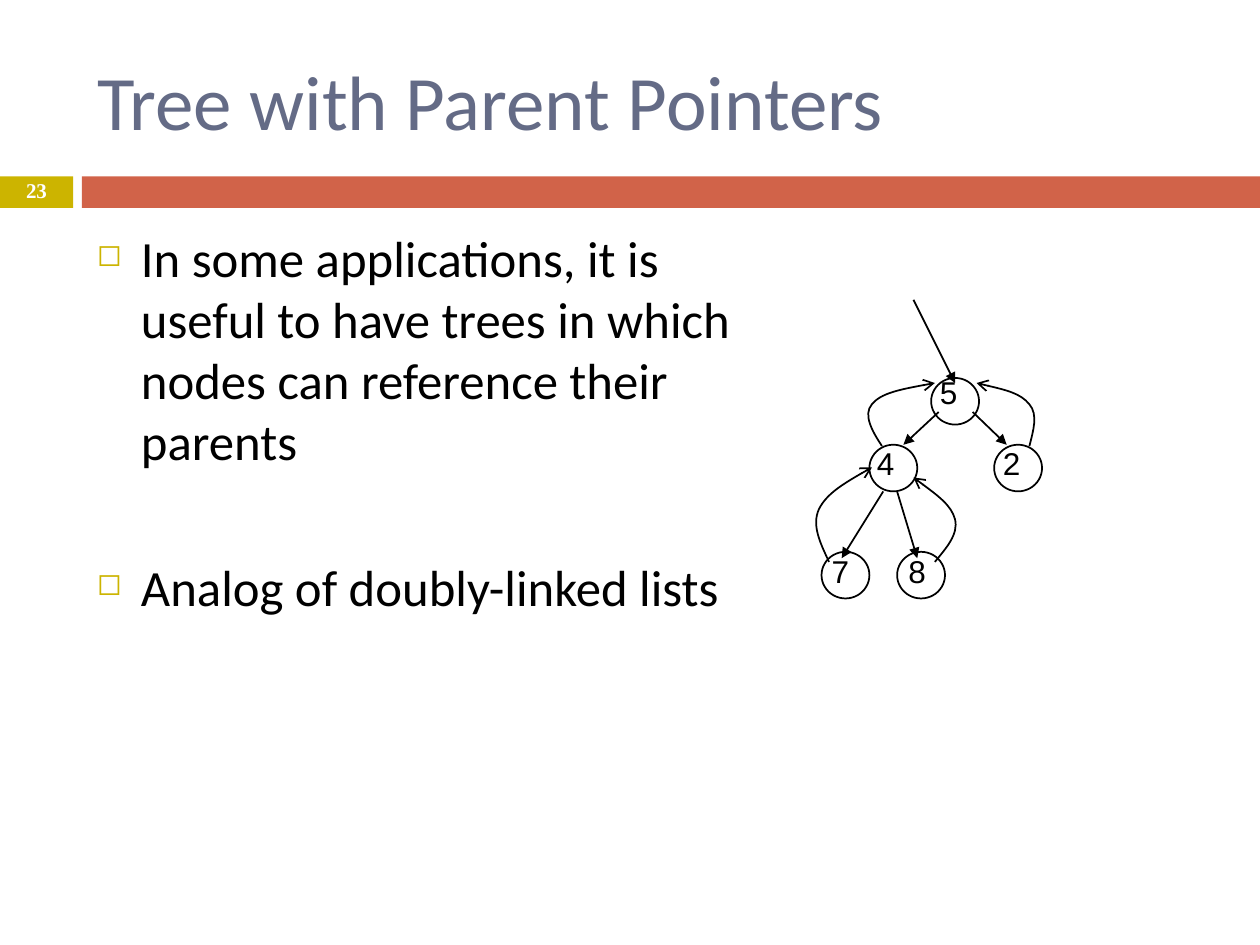
from lxml.etree import SubElement
from pptx import Presentation
from pptx.dml.color import RGBColor
from pptx.enum.shapes import MSO_CONNECTOR, MSO_SHAPE
from pptx.enum.text import MSO_ANCHOR, MSO_AUTO_SIZE, PP_ALIGN
from pptx.oxml.ns import qn
from pptx.util import Inches, Pt

# Content
TITLE = "Tree with Parent Pointers"
PAGE = "23"
BULLETS = [  # text, space before in points
    ("In some applications, it is useful to have trees in which "
     "nodes can reference their parents", 7),
    ("Analog of doubly-linked lists", 49),
]
NODES = [  # label, circle left and top, label left and top
    ("5", (7.39, 3.0), (7.42, 2.96)),
    ("4", (6.9, 3.53), (6.92, 3.52)),
    ("2", (7.89, 3.53), (7.92, 3.52)),
    ("7", (6.52, 4.38), (6.56, 4.38)),
    ("8", (7.12, 4.38), (7.17, 4.38)),
]
CHILD_POINTERS = [  # start, end
    ((7.45, 3.27), (7.17, 3.53)),
    ((7.72, 3.27), (7.99, 3.53)),
    ((7.01, 3.9), (6.68, 4.43)),
    ((7.12, 3.9), (7.28, 4.43)),
]
ROOT_POINTER = ((7.25, 2.38), (7.58, 3.04))
PARENT_POINTERS = [  # start, then two Bezier segments of three points
    [(6.58, 4.46), (6.51, 4.31), (6.44, 4.17), (6.5, 4.04),
     (6.56, 3.92), (6.74, 3.81), (6.92, 3.71)],
    [(7, 3.54), (6.92, 3.42), (6.85, 3.29), (6.92, 3.21),
     (6.99, 3.12), (7.2, 3.08), (7.42, 3.04)],
    [(7.42, 4.46), (7.51, 4.35), (7.61, 4.24), (7.58, 4.12),
     (7.55, 4.01), (7.4, 3.9), (7.25, 3.79)],
    [(8.17, 3.54), (8.2, 3.42), (8.24, 3.29), (8.17, 3.21),
     (8.1, 3.12), (7.92, 3.08), (7.75, 3.04)],
]
COLORS = {"gold": "CCB400", "red": "D16349", "title": "646B86",
          "ink": "000000", "white": "FFFFFF"}
NODE_SIZE = (0.38, 0.37)
BODY_INSETS = (0.1, 0.05, 0.14, 0.05)


def color(name):
    return RGBColor.from_string(COLORS[name])


def write(shape, text, *, size, font, ink, bold=False, align=PP_ALIGN.LEFT,
          anchor=MSO_ANCHOR.TOP, insets=(0, 0, 0, 0), before=0, spacing=None,
          append=False):
    frame = shape.text_frame
    frame.word_wrap = True
    frame.auto_size = MSO_AUTO_SIZE.NONE
    frame.vertical_anchor = anchor
    (frame.margin_left, frame.margin_top,
     frame.margin_right, frame.margin_bottom) = map(Inches, insets)
    paragraph = frame.add_paragraph() if append else frame.paragraphs[0]
    paragraph.alignment = align
    paragraph.space_before = Pt(before)
    if spacing:
        paragraph.line_spacing = spacing
    run = paragraph.add_run()
    run.text = text
    run.font.size, run.font.name, run.font.bold = Pt(size), font, bold
    run.font.color.rgb = color(ink)
    return paragraph


def add_bullet(paragraph, indent=0.35):
    props = paragraph._p.get_or_add_pPr()
    props.set("marL", str(Inches(indent)))
    props.set("indent", str(-Inches(indent)))
    SubElement(SubElement(props, qn("a:buClr")), qn("a:srgbClr"), val=COLORS["gold"])
    SubElement(props, qn("a:buSzPct"), val="60000")
    SubElement(props, qn("a:buChar"), char="◻")


def add_block(shapes, kind, left, top, width, height, fill=None):
    block = shapes.add_shape(kind, *map(Inches, (left, top, width, height)))
    block.shadow.inherit = False
    if fill:
        block.fill.solid()
        block.fill.fore_color.rgb = color(fill)
        block.line.fill.background()
    else:
        block.fill.background()
        draw_line(block)
    return block


def draw_line(shape, head=None):
    shape.line.color.rgb = color("ink")
    shape.line.width = Pt(1)
    if head:
        SubElement(shape.line._get_or_add_ln(), qn("a:tailEnd"), type=head)


def add_arrow(shapes, start, end):
    arrow = shapes.add_connector(MSO_CONNECTOR.STRAIGHT, *map(Inches, start + end))
    draw_line(arrow, "triangle")
    SubElement(arrow._element.spPr, qn("a:effectLst"))


def add_curve(shapes, points):
    start, *rest = [(Inches(x), Inches(y)) for x, y in points]
    builder = shapes.build_freeform(*start)
    builder.add_line_segments(rest, close=False)
    curve = builder.convert_to_shape()
    # Join every three line segments into one Bezier segment
    outline = curve._element.spPr.find(".//" + qn("a:path"))
    for index, segment in enumerate(outline.findall(qn("a:lnTo"))):
        if index % 3 == 0:
            bezier = SubElement(outline, qn("a:cubicBezTo"))
        bezier.append(segment[0])
        outline.remove(segment)
    curve.shadow.inherit = False
    curve.fill.background()
    draw_line(curve, "arrow")


def add_text_box(shapes, left, top, width, height):
    return shapes.add_textbox(*map(Inches, (left, top, width, height)))


def main():
    deck = Presentation()
    deck.slide_width, deck.slide_height = Inches(10), Inches(7.5)
    slide = deck.slides.add_slide(deck.slide_layouts[5])
    shapes = slide.shapes

    # Header: title, bands and page number
    title = shapes.title
    title.left, title.top, title.width, title.height = map(Inches, (0.67, 0.25, 8.92, 1.08))
    write(title, TITLE, size=44, font="Calibri", ink="title",
          anchor=MSO_ANCHOR.MIDDLE, insets=BODY_INSETS)
    add_block(shapes, MSO_SHAPE.RECTANGLE, 0, 1.4, 0.58, 0.25, "gold")
    add_block(shapes, MSO_SHAPE.RECTANGLE, 0.65, 1.4, 9.35, 0.25, "red")
    write(add_text_box(shapes, 0, 1.39, 0.58, 0.27), PAGE, size=12,
          font="Times New Roman", ink="white", bold=True, spacing=0.8,
          align=PP_ALIGN.CENTER, anchor=MSO_ANCHOR.MIDDLE)

    # Bullets
    body = add_text_box(shapes, 0.67, 1.75, 5.58, 4.92)
    for index, (text, before) in enumerate(BULLETS):
        add_bullet(write(body, text, size=29, font="Calibri", ink="ink",
                         insets=BODY_INSETS, before=before, append=index > 0))

    # Tree nodes and their labels
    for label, circle_at, label_at in NODES:
        add_block(shapes, MSO_SHAPE.OVAL, *circle_at, *NODE_SIZE)
        write(add_text_box(shapes, *label_at, 0.31, 0.39), label, size=18,
              font="Arial", ink="ink", insets=(0.04, 0, 0.04, 0))

    # Pointers to children, to parents and to the root
    for start, end in CHILD_POINTERS + [ROOT_POINTER]:
        add_arrow(shapes, start, end)
    for points in PARENT_POINTERS:
        add_curve(shapes, points)

    deck.save("out.pptx")


if __name__ == "__main__":
    main()
